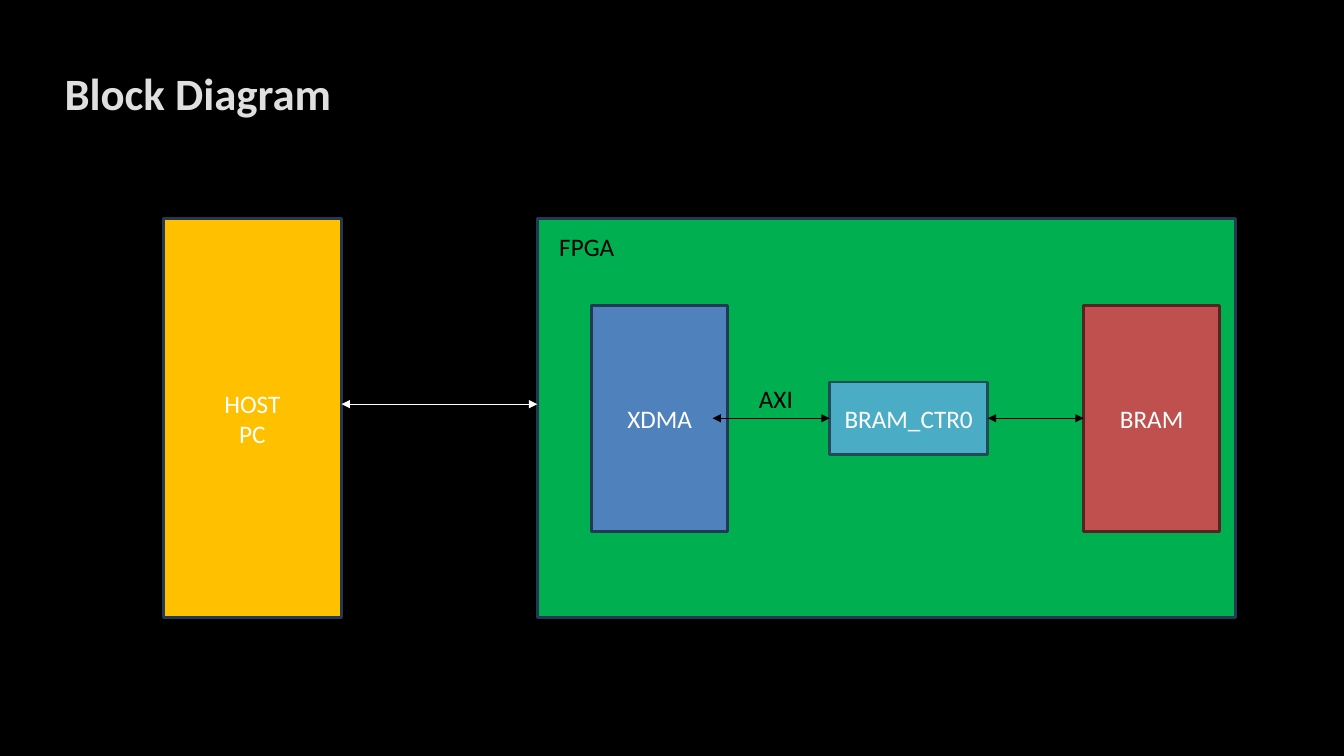
from lxml import etree
from pptx import Presentation
from pptx.dml.color import RGBColor
from pptx.enum.shapes import MSO_CONNECTOR, MSO_SHAPE
from pptx.enum.text import MSO_ANCHOR, MSO_AUTO_SIZE, PP_ALIGN
from pptx.oxml.ns import qn
from pptx.util import Pt

RECTANGLE = MSO_SHAPE.RECTANGLE
STRAIGHT = MSO_CONNECTOR.STRAIGHT
LEFT, CENTER = PP_ALIGN.LEFT, PP_ALIGN.CENTER
TOP, MIDDLE = MSO_ANCHOR.TOP, MSO_ANCHOR.MIDDLE
FIT_SHAPE = MSO_AUTO_SIZE.SHAPE_TO_FIT_TEXT
LEFT_SIDE, RIGHT_SIDE = 1, 3

COLORS = {
    "black": "000000", "white": "FFFFFF", "title": "DFDFDF",
    "host": "FFC000", "fpga": "00B050", "xdma": "4F81BD",
    "controller": "4BACC6", "bram": "C0504D",
    "navy edge": "233953", "teal edge": "214B57", "red edge": "542322",
}

# Rows shared by the blocks: top and height
OUTER_TOP, OUTER_HEIGHT = 156.2, 285.1
INNER_TOP, INNER_WIDTH, INNER_HEIGHT = 218.2, 97.2, 161.2
CONTROLLER_HEIGHT = 51.8
BUS_Y = INNER_TOP + INNER_HEIGHT / 2


def color(name):
    return RGBColor.from_string(COLORS[name])


def write(frame, text, color_name, align, size=18, bold=False):
    """Fill a text frame, one paragraph per line of text."""
    frame.text = text
    for paragraph in frame.paragraphs:
        paragraph.alignment = align
        font_format = {"name": "Calibri", "size": Pt(size), "bold": bold}
        for attribute, value in font_format.items():
            setattr(paragraph.font, attribute, value)
        paragraph.font.color.rgb = color(color_name)


def set_title(slide, text):
    title = slide.shapes.title
    box = {"left": 46.1, "top": 46.8, "width": 867.6, "height": 38.9}
    for attribute, value in box.items():
        setattr(title, attribute, Pt(value))
    frame = title.text_frame
    for side in ("left", "top", "right", "bottom"):
        setattr(frame, f"margin_{side}", 0)
    frame.vertical_anchor = TOP
    frame.auto_size = FIT_SHAPE
    write(frame, text, "title", LEFT, size=32, bold=True)


def add_block(slide, box, fill, edge, text=""):
    block = slide.shapes.add_shape(RECTANGLE, *map(Pt, box))
    block.shadow.inherit = False
    block.fill.solid()
    block.fill.fore_color.rgb = color(fill)
    block.line.color.rgb = color(edge)
    block.line.width = Pt(2)
    if text:
        block.text_frame.vertical_anchor = MIDDLE
        write(block.text_frame, text, "white", CENTER)
    return block


def add_label(slide, left, top, text):
    label = slide.shapes.add_textbox(Pt(left), Pt(top), Pt(60.5), Pt(28.8))
    label.text_frame.word_wrap = True
    label.text_frame.auto_size = FIT_SHAPE
    write(label.text_frame, text, "black", LEFT)


def add_link(slide, start, end, y, color_name):
    """Draw a horizontal arrow with a head at both ends."""
    link = slide.shapes.add_connector(STRAIGHT, Pt(start), Pt(y), Pt(end), Pt(y))
    link.line.color.rgb = color(color_name)
    link.line.width = Pt(0.75)
    outline = link.line._get_or_add_ln()
    for arrow_end in ("a:headEnd", "a:tailEnd"):
        etree.SubElement(outline, qn(arrow_end), type="triangle")
    etree.SubElement(link._element.spPr, qn("a:effectLst"))
    return link


def main():
    deck = Presentation()
    deck.slide_width, deck.slide_height = Pt(960), Pt(540)
    slide = deck.slides.add_slide(deck.slide_layouts[5])
    slide.background.fill.solid()
    slide.background.fill.fore_color.rgb = color("black")
    set_title(slide, "Block Diagram")

    add_block(slide, (116.6, OUTER_TOP, 127.4, OUTER_HEIGHT),
              "host", "navy edge", "HOST\nPC")
    add_block(slide, (383.8, OUTER_TOP, 499, OUTER_HEIGHT), "fpga", "navy edge")
    add_label(slide, 392.4, 162, "FPGA")
    add_block(slide, (422.6, INNER_TOP, INNER_WIDTH, INNER_HEIGHT),
              "xdma", "navy edge", "XDMA")
    controller = add_block(
        slide, (592.6, BUS_Y - CONTROLLER_HEIGHT / 2, 113, CONTROLLER_HEIGHT),
        "controller", "teal edge", "BRAM_CTR0")
    bram = add_block(slide, (774, INNER_TOP, INNER_WIDTH, INNER_HEIGHT),
                     "bram", "red edge", "BRAM")

    add_link(slide, 244, 383.8, 288.7, "white")
    add_label(slide, 535, 270, "AXI")
    axi_link = add_link(slide, 509, 592.6, BUS_Y, "black")
    axi_link.end_connect(controller, LEFT_SIDE)
    memory_link = add_link(slide, 705.6, 774, BUS_Y, "black")
    memory_link.begin_connect(controller, RIGHT_SIDE)
    memory_link.end_connect(bram, LEFT_SIDE)

    deck.save("out.pptx")


if __name__ == "__main__":
    main()
